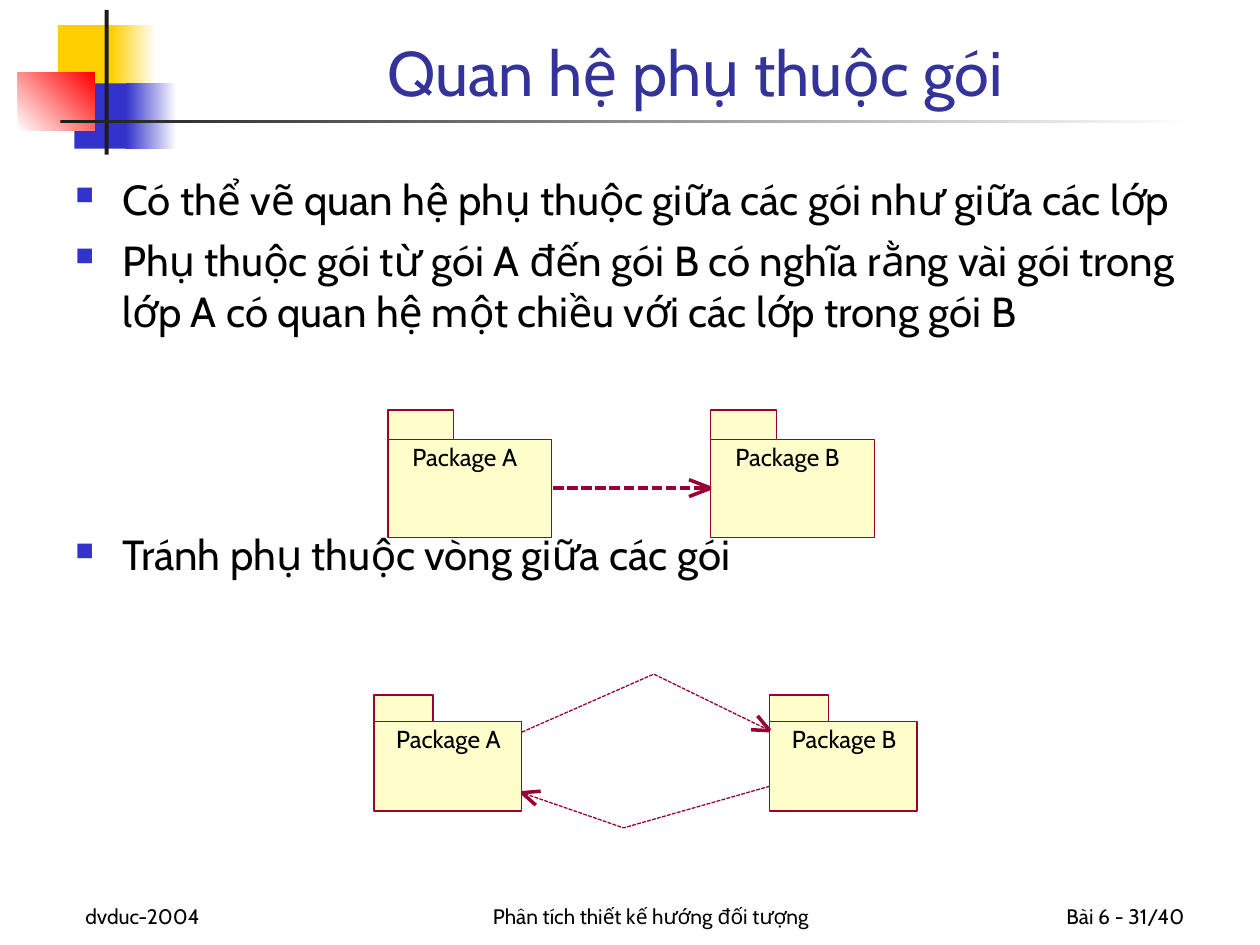
from lxml import etree
from pptx import Presentation
from pptx.dml.color import RGBColor
from pptx.enum import dml, shapes, text
from pptx.oxml.ns import qn
from pptx.util import Cm, Pt

FONT = "Cabin"
COLORS = {
    "yellow": "FFCF01", "blue": "3333CC", "red": "FF0000", "white": "FFFFFF",
    "ink": "1C1C1C", "black": "000000", "title": "333399",
    "package": "FFFFCC", "outline": "990033",
}
TITLE = "Quan hệ phụ thuộc gói"
POINTS = [
    ("Có thể vẽ quan hệ phụ thuộc giữa các gói như giữa các lớp", 0),
    ("Phụ thuộc gói từ gói A đến gói B có nghĩa rằng vài gói trong lớp A "
     "có quan hệ một chiều với các lớp trong gói B", 6),
    ("Tránh phụ thuộc vòng giữa các gói", 110.5),
]
FOOTERS = [
    ("dvduc-2004", 1.47, 5.28, text.PP_ALIGN.LEFT),
    ("Phân tích thiết kế hướng đối tượng", 8.26, 9.73, text.PP_ALIGN.CENTER),
    ("Bài 6 - 31/40", 18.85, 5.28, text.PP_ALIGN.RIGHT),
]
ORNAMENTS = [
    ((1.17, 0.51, 1.22, 1.32), ["yellow"], 0),
    ((2.24, 0.51, 0.91, 1.32), ["yellow", "white"], 0),
    ((1.5, 1.68, 1.17, 1.32), ["blue"], 0),
    ((2.54, 1.68, 1.02, 1.32), ["blue", "white"], 0),
    ((0.36, 1.47, 1.55, 1.17), ["white", "red"], 45),
    ((2.11, 0.2, 0.08, 2.92), ["ink"], 0),
    ((1.22, 2.41, 22.86, 0.08), ["ink", "white"], 0),
]
PACKAGES = [
    ("Package A", 7.82, 8.86, 3.3, 1.98),
    ("Package B", 14.33, 8.86, 3.3, 1.98),
    ("Package A", 7.54, 14.55, 2.97, 1.8),
    ("Package B", 15.52, 14.55, 2.97, 1.8),
]
DEPENDENCIES = [
    ([(11.15, 9.84), (14.33, 9.84)], [(13.89, 10.01), (13.89, 9.67)]),
    ([(15.52, 15.85), (12.57, 16.69), (10.52, 15.98)], [(10.9, 15.95), (10.8, 16.23)]),
    ([(10.52, 14.76), (13.18, 13.59), (15.52, 14.73)], [(15.27, 14.43), (15.14, 14.71)]),
]


def rgb(name):
    return RGBColor.from_string(COLORS[name])


def style(target, size, color, align=text.PP_ALIGN.LEFT):
    target.alignment = align
    target.font.name, target.font.size = FONT, Pt(size)
    target.font.color.rgb = rgb(color)


def outline(item, dashed=False):
    item.line.color.rgb = rgb("outline")
    item.line.width = 0
    if dashed:
        item.line.dash_style = dml.MSO_LINE.SQUARE_DOT


def add_block(slide, box, colors, angle=0, outlined=False):
    block = slide.shapes.add_shape(shapes.MSO_SHAPE.RECTANGLE, *map(Cm, box))
    block.shadow.inherit = False
    if len(colors) == 1:
        block.fill.solid()
        block.fill.fore_color.rgb = rgb(colors[0])
    else:
        block.fill.gradient()
        block.fill.gradient_angle = angle
        for stop, color in zip(block.fill.gradient_stops, colors):
            stop.color.rgb = rgb(color)
    if outlined:
        outline(block)
    else:
        block.line.fill.background()


def add_text(slide, words, box, size, align=text.PP_ALIGN.LEFT):
    frame = slide.shapes.add_textbox(*map(Cm, box)).text_frame
    frame.word_wrap = True
    frame.text = words
    style(frame.paragraphs[0], size, "black", align)
    return frame


def add_points(slide):
    frame = slide.shapes.add_textbox(Cm(1.27), Cm(3.38), Cm(23.6), Cm(13.97)).text_frame
    frame.word_wrap = True
    for index, (words, gap) in enumerate(POINTS):
        point = frame.add_paragraph() if index else frame.paragraphs[0]
        point.text = words
        point.space_before = Pt(gap)
        props = point._p.get_or_add_pPr()
        props.set("marL", str(Cm(0.95)))
        props.set("indent", str(-Cm(0.95)))
        tint = etree.SubElement(props, qn("a:buClr"))
        etree.SubElement(tint, qn("a:srgbClr"), val=COLORS["blue"])
        etree.SubElement(props, qn("a:buSzPct"), val="60000")
        etree.SubElement(props, qn("a:buChar"), char="■")
        style(point, 24, "black")


def add_package(slide, name, left, top, width, height):
    tab = height * 0.3
    add_block(slide, (left, top, width, height), ["package"], outlined=True)
    add_block(slide, (left, top - tab, width * 0.4, tab), ["package"], outlined=True)
    label = add_text(slide, name, (left + width * 0.15, top + 0.05, 2.39, 0.58), 14)
    label.word_wrap = False
    label.margin_left = label.margin_top = label.margin_right = label.margin_bottom = 0


def add_line(slide, start, end, dashed=False):
    line = slide.shapes.add_connector(shapes.MSO_CONNECTOR.STRAIGHT, *map(Cm, start + end))
    outline(line, dashed)
    etree.SubElement(line._element.spPr, qn("a:effectLst"))


def add_dependency(slide, route, barbs):
    if len(route) == 2:
        add_line(slide, *route, dashed=True)
    else:
        start, *rest = [(Cm(x), Cm(y)) for x, y in route]
        builder = slide.shapes.build_freeform(*start)
        builder.add_line_segments(rest, close=False)
        bend = builder.convert_to_shape()
        bend.shadow.inherit = False
        bend.fill.background()
        outline(bend, dashed=True)
    for barb in barbs:
        add_line(slide, route[-1], barb)


def main():
    """Build the slide on package dependencies."""
    deck = Presentation()
    deck.slide_width, deck.slide_height = Cm(25.4), Cm(19.05)
    slide = deck.slides.add_slide(deck.slide_layouts[5])
    for ornament in ORNAMENTS:
        add_block(slide, *ornament)
    title = slide.shapes.title
    title.left, title.top, title.width, title.height = map(Cm, (3.2, 0.2, 21.64, 2.13))
    title.text_frame.text = TITLE
    title.text_frame.vertical_anchor = text.MSO_ANCHOR.BOTTOM
    style(title.text_frame.paragraphs[0], 36, "title", text.PP_ALIGN.CENTER)
    add_points(slide)
    for words, left, width, align in FOOTERS:
        footer = add_text(slide, words, (left, 17.58, width, 1.27), 12, align)
        footer.vertical_anchor = text.MSO_ANCHOR.BOTTOM
    for package in PACKAGES:
        add_package(slide, *package)
    for dependency in DEPENDENCIES:
        add_dependency(slide, *dependency)
    deck.save("out.pptx")


if __name__ == "__main__":
    main()
